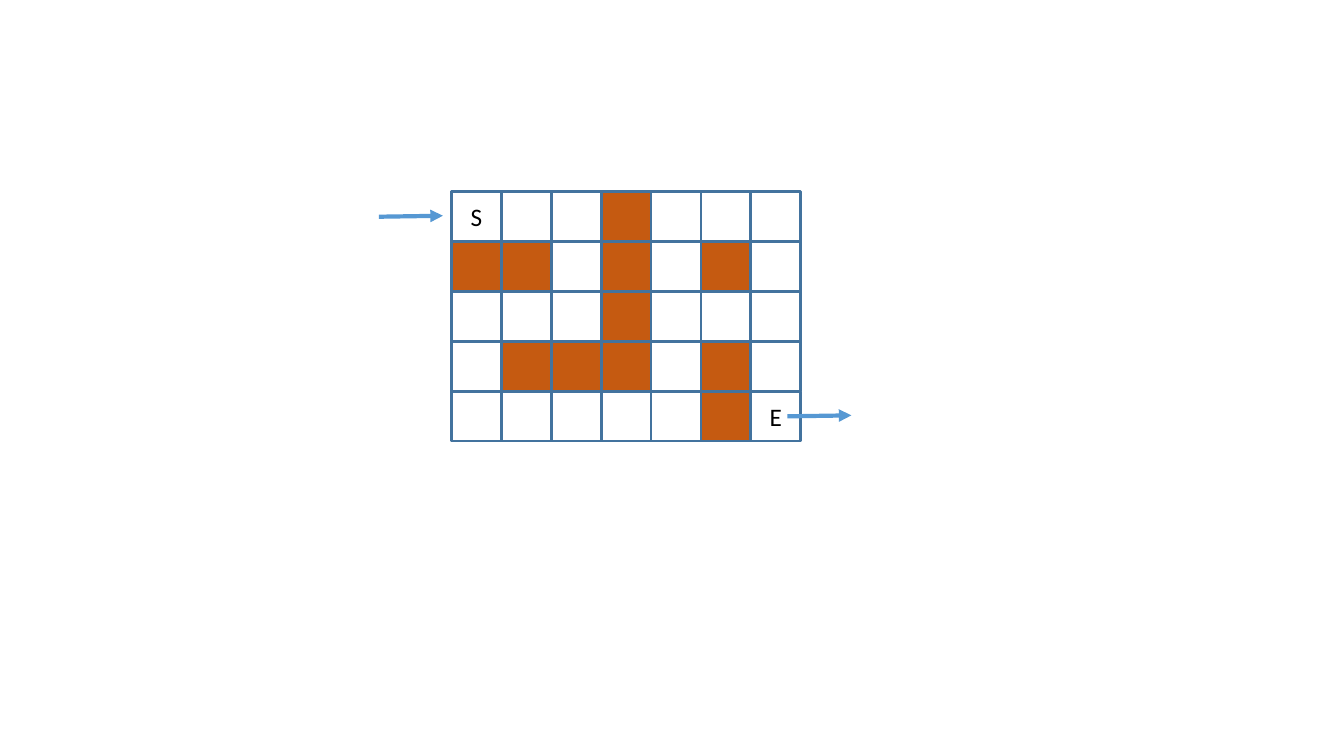
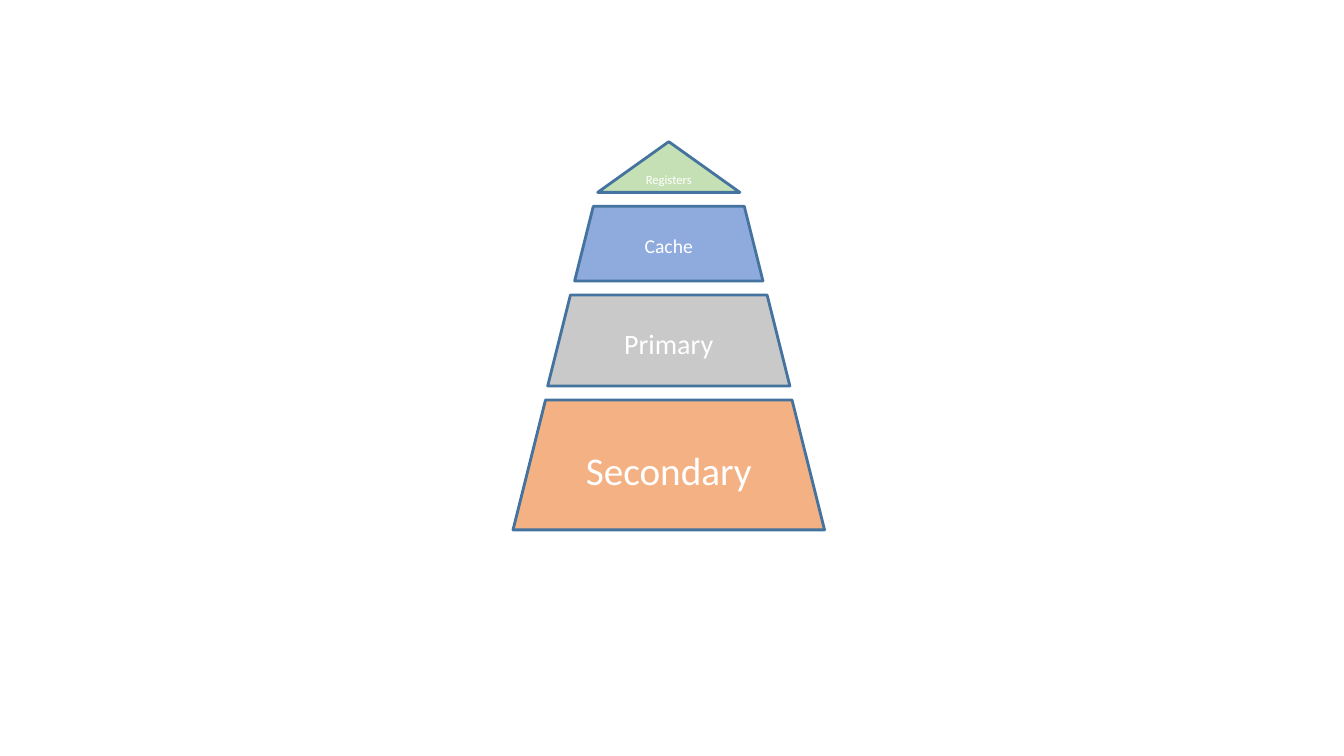
"""Build two slides: a maze grid and a memory pyramid."""
from lxml.etree import SubElement
from pptx import Presentation
from pptx.dml.color import RGBColor as RGB
from pptx.enum.shapes import MSO_CONNECTOR as Link, MSO_SHAPE as Kind
from pptx.enum.text import MSO_ANCHOR as Anchor, PP_ALIGN as Align
from pptx.oxml.ns import qn
from pptx.util import Pt


class Theme:
    font = "Calibri"
    edge = RGB.from_string("43739E")
    arrow = RGB.from_string("5698D3")
    wall = RGB.from_string("C55A11")
    white = RGB.from_string("FFFFFF")
    black = RGB.from_string("000000")
    orange = RGB.from_string("F4B183")
    grey = RGB.from_string("C9C9C9")
    blue = RGB.from_string("8FAADC")
    green = RGB.from_string("C5E0B4")
    cell, huge, large, mid, small = 18, 28, 20, 14, 9
    thin, thick = 2, 3


def block(text, *, slide, kind, at, fill, size, color):
    shape = slide.shapes.add_shape(kind, *[Pt(n) for n in at])
    shape.shadow.inherit = False
    shape.fill.solid()
    shape.fill.fore_color.rgb = fill
    shape.line.color.rgb = Theme.edge
    shape.line.width = Pt(Theme.thin)
    if text:
        frame = shape.text_frame
        frame.vertical_anchor = Anchor.MIDDLE
        para = frame.paragraphs[0]
        para.alignment = Align.CENTER
        run = para.add_run()
        run.text = text
        run.font.name = Theme.font
        run.font.size = Pt(size)
        run.font.color.rgb = color


deck = Presentation()
deck.slide_width, deck.slide_height = Pt(960), Pt(540)
blank = deck.slide_layouts[6]

maze = deck.slides.add_slide(blank)
rows = ["S..#...",
        "##.#.#.",
        "...#...",
        ".###.#.",
        ".....#E"]
left, top, side = 322.5, 136.8, 35.64
for row, marks in enumerate(rows):
    for col, mark in enumerate(marks):
        block(mark if mark in "SE" else "", slide=maze, kind=Kind.RECTANGLE,
              at=(left + col * side, top + row * side, side, side),
              fill=Theme.wall if mark == "#" else Theme.white,
              size=Theme.cell, color=Theme.black)

reach, rise = 45.7, 0.7
for x, y in [(270.7, 154.8), (562.5, 297.4)]:
    arrow = maze.shapes.add_connector(
        Link.STRAIGHT, Pt(x), Pt(y), Pt(x + reach), Pt(y - rise))
    arrow.line.color.rgb = Theme.arrow
    arrow.line.width = Pt(Theme.thick)
    props = arrow.element.spPr
    SubElement(props.find(qn("a:ln")), qn("a:tailEnd"), type="triangle")
    SubElement(props, qn("a:effectLst"))

tower = deck.slides.add_slide(blank)
levels = [
    ("Secondary", Kind.TRAPEZOID, 222.5, 92.8, Theme.orange, Theme.huge),
    ("Primary", Kind.TRAPEZOID, 173, 65, Theme.grey, Theme.large),
    ("Cache", Kind.TRAPEZOID, 134.5, 53.3, Theme.blue, Theme.mid),
    ("Registers", Kind.ISOSCELES_TRIANGLE, 101.5, 36.2, Theme.green, Theme.small),
]
middle, base, gap = 477.7, 378.5, 10
for name, kind, width, height, fill, size in levels:
    block(name, slide=tower, kind=kind,
          at=(middle - width / 2, base - height, width, height),
          fill=fill, size=size, color=Theme.white)
    base -= height + gap

deck.save("out.pptx")
